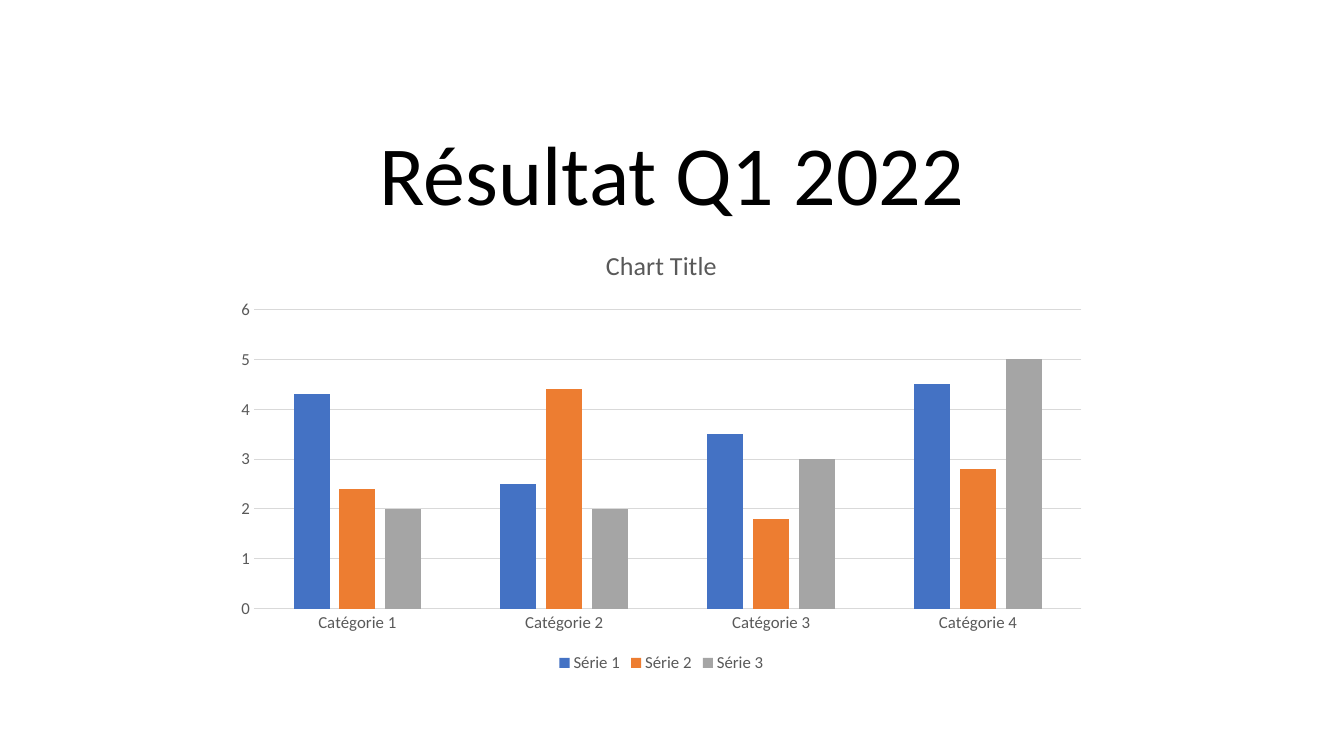
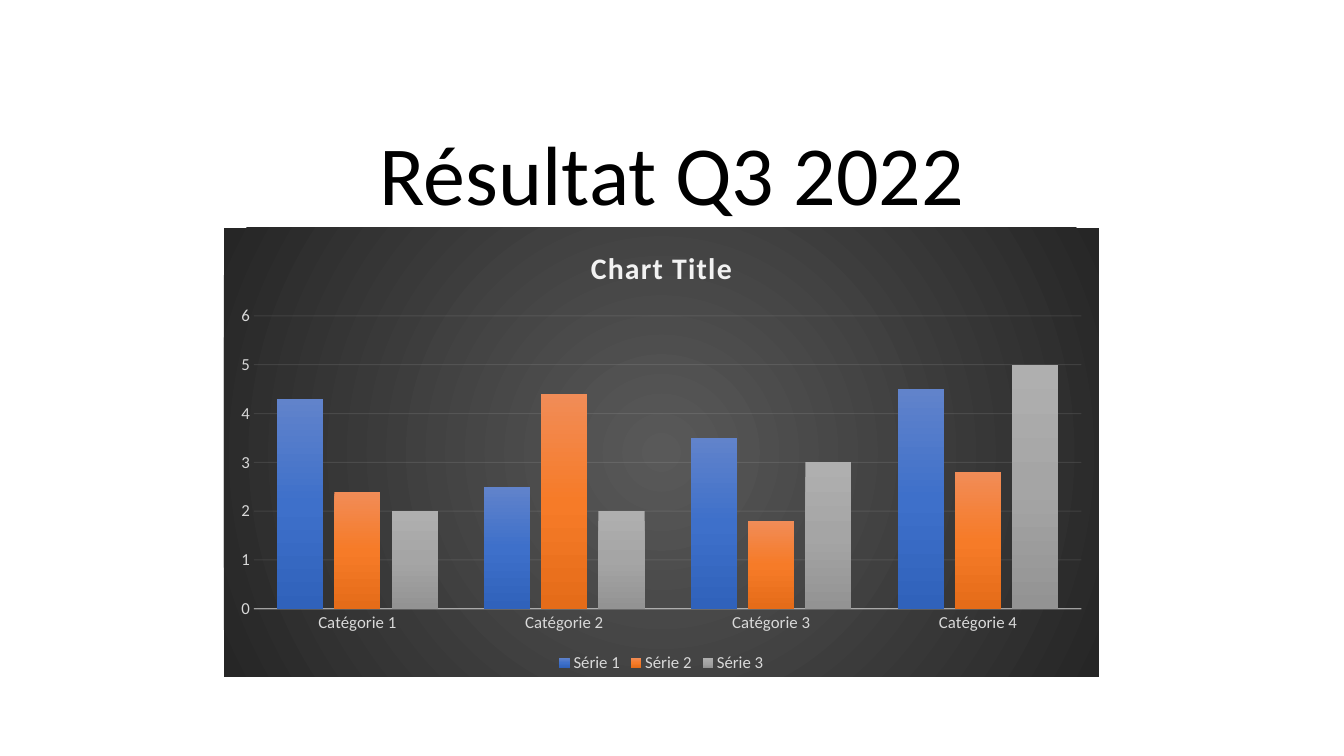
"""Build two quarterly result slides, each with a title and a column chart."""
import pptx
import pptx.chart.data
import pptx.dml.color
import pptx.enum.chart
import pptx.enum.text
import pptx.oxml
import pptx.oxml.ns
import pptx.util

FONT = "Calibri"
SLIDE_SIZE = (1344, 756)
TITLE_BOX = (168, 124, 1008, 105)
CHART_BOX = (224, 228, 875, 449)
CATEGORIES = ["Catégorie 1", "Catégorie 2", "Catégorie 3", "Catégorie 4"]
SERIES = [
    ("Série 1", (4.3, 2.5, 3.5, 4.5)),
    ("Série 2", (2.4, 4.4, 1.8, 2.8)),
    ("Série 3", (2, 2, 3, 5)),
]
LIGHT = {
    "area": None,
    "title": {"size": 18.6, "color": "595959", "bold": False, "spacing": 0},
    "text": "595959",
    "axis": ("D9D9D9", 0.75, 100),
    "grid": ("D9D9D9", 0.75, 100),
    "gap": 219,
    "overlap": -27,
    "fills": [["4472C4"], ["ED7D31"], ["A5A5A5"]],
}
DARK = {
    "area": ["595959", "262626"],
    "title": {"size": 21.3, "color": "F2F2F2", "bold": True, "spacing": 100},
    "text": "D9D9D9",
    "axis": ("F2F2F2", 1, 54),
    "grid": ("F2F2F2", 0.75, 10),
    "gap": 100,
    "overlap": -24,
    "fills": [
        ["6183CB", "3E70CA", "3062BB"],
        ["F18C57", "F67B28", "E56C19"],
        ["AFAFAF", "A5A5A5", "939393"],
    ],
}
SLIDES = [("Résultat Q1 2022", LIGHT), ("Résultat Q3 2022", DARK)]

LINEAR = '<a:lin ang="5400000" scaled="0"/>'
RADIAL = ('<a:path path="circle"><a:fillToRect l="50000" t="50000" '
          'r="50000" b="50000"/></a:path>')


def px(n):
    return pptx.util.Emu(round(n * 914400 / 100.8))


def rgb(color):
    return pptx.dml.color.RGBColor.from_string(color)


def set_font(font, size, color, bold=False):
    font.name = FONT
    font.size = pptx.util.Pt(size)
    font.bold = bold
    font.color.rgb = rgb(color)


def fill_xml(colors, direction):
    if not colors:
        return "<a:noFill/>"
    if len(colors) == 1:
        return f'<a:solidFill><a:srgbClr val="{colors[0]}"/></a:solidFill>'
    step = 100000 // (len(colors) - 1)
    stops = "".join(f'<a:gs pos="{i * step}"><a:srgbClr val="{c}"/></a:gs>'
                    for i, c in enumerate(colors))
    return f'<a:gradFill rotWithShape="1"><a:gsLst>{stops}</a:gsLst>{direction}</a:gradFill>'


def shape_props(colors, direction):
    ns = pptx.oxml.ns.nsdecls("c", "a")
    return pptx.oxml.parse_xml(
        f"<c:spPr {ns}>{fill_xml(colors, direction)}<a:ln><a:noFill/></a:ln></c:spPr>")


def set_line(chart, line, style, where):
    color, width, opacity = style
    line.color.rgb = rgb(color)
    line.width = pptx.util.Pt(width)
    if opacity < 100:
        for clr in chart.element.xpath(f"{where}/c:spPr/a:ln//a:srgbClr"):
            alpha = clr.makeelement(pptx.oxml.ns.qn("a:alpha"), {"val": str(opacity * 1000)})
            clr.append(alpha)


def add_title(slide, text):
    tf = slide.shapes.add_textbox(*map(px, TITLE_BOX)).text_frame
    tf.word_wrap = True
    tf.vertical_anchor = pptx.enum.text.MSO_ANCHOR.BOTTOM
    p = tf.paragraphs[0]
    p.alignment = pptx.enum.text.PP_ALIGN.CENTER
    p.line_spacing = 0.9
    r = p.add_run()
    r.text = text
    set_font(r.font, 60, "000000")


def add_chart_title(chart, size, color, bold, spacing):
    chart.has_title = True
    chart.chart_title.include_in_layout = False
    r = chart.chart_title.text_frame.paragraphs[0].add_run()
    r.text = "Chart Title"
    set_font(r.font, size, color, bold)
    for props in chart.element.xpath(".//c:title//a:rPr"):
        props.set("spc", str(spacing))


def style_axes(chart, look):
    cat, val = chart.category_axis, chart.value_axis
    for axis in (cat, val):
        axis.major_tick_mark = pptx.enum.chart.XL_TICK_MARK.NONE
        axis.minor_tick_mark = pptx.enum.chart.XL_TICK_MARK.NONE
        set_font(axis.tick_labels.font, 12, look["text"])
    val.minimum_scale, val.maximum_scale, val.major_unit = 0, 6, 1
    val.has_major_gridlines = True
    val.format.line.fill.background()
    set_line(chart, cat.format.line, look["axis"], ".//c:catAx")
    set_line(chart, val.major_gridlines.format.line, look["grid"], ".//c:majorGridlines")


def add_chart(slide, look):
    data = pptx.chart.data.CategoryChartData()
    data.categories = CATEGORIES
    for name, values in SERIES:
        data.add_series(name, values)
    chart = slide.shapes.add_chart(
        pptx.enum.chart.XL_CHART_TYPE.COLUMN_CLUSTERED, *map(px, CHART_BOX), data).chart
    set_font(chart.font, 10, "000000")
    chart.element.xpath("./c:chart")[0].addnext(shape_props(look["area"], RADIAL))
    add_chart_title(chart, **look["title"])
    style_axes(chart, look)
    chart.has_legend = True
    chart.legend.position = pptx.enum.chart.XL_LEGEND_POSITION.BOTTOM
    chart.legend.include_in_layout = False
    set_font(chart.legend.font, 12, look["text"])
    plot = chart.plots[0]
    plot.vary_by_categories = False
    plot.gap_width = look["gap"]
    plot.overlap = look["overlap"]
    for ser, colors in zip(chart.element.xpath(".//c:ser"), look["fills"]):
        props = ser.get_or_add_spPr()
        props.getparent().replace(props, shape_props(colors, LINEAR))


def main():
    prs = pptx.Presentation()
    prs.slide_width, prs.slide_height = map(px, SLIDE_SIZE)
    for title, look in SLIDES:
        slide = prs.slides.add_slide(prs.slide_layouts[6])
        add_title(slide, title)
        add_chart(slide, look)
    prs.save("out.pptx")


if __name__ == "__main__":
    main()
